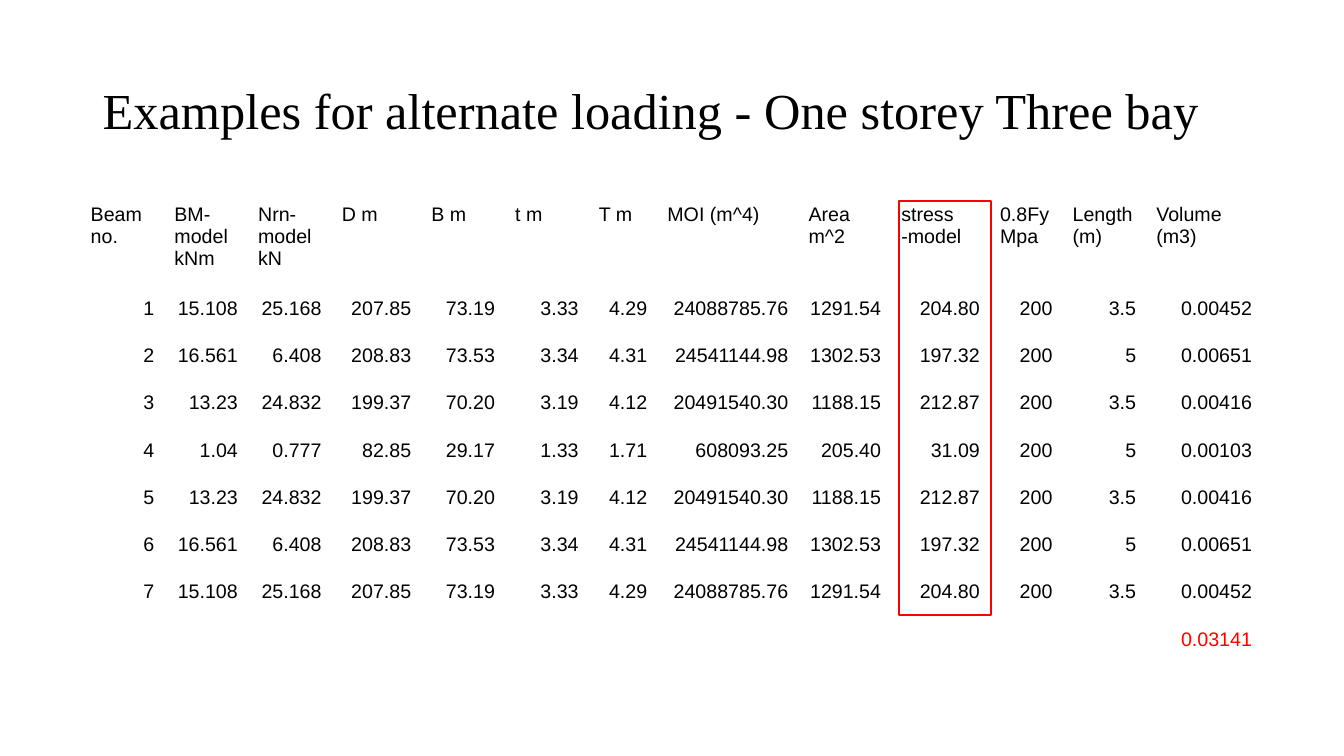
from pptx import Presentation
from pptx.dml.color import RGBColor
from pptx.enum.shapes import MSO_SHAPE
from pptx.enum.text import MSO_ANCHOR, PP_ALIGN
from pptx.oxml.ns import qn
from pptx.util import Inches, Pt

COLORS = {"text": "000000", "highlight": "FF0000"}
NO_STYLE_NO_GRID = "{2D5ABB26-0587-4C30-8999-92F81FD0307C}"

TITLE = "Examples for alternate loading - One storey Three bay"
COLUMNS = [
    ("Beam no.", 0.83), ("BM-model kNm", 0.83), ("Nrn-model kN", 0.83),
    ("D m", 0.89), ("B m", 0.83), ("t m", 0.83), ("T m", 0.68),
    ("MOI (m^4)", 1.4), ("Area m^2", 0.92), ("stress -model", 0.98),
    ("0.8Fy Mpa", 0.72), ("Length (m)", 0.83), ("Volume (m3)", 1.15),
]
# The frame is symmetric: beams 5 to 7 mirror beams 3 to 1.
OUTER_BEAMS = [
    "15.108 25.168 207.85 73.19 3.33 4.29 24088785.76 1291.54 204.80 200 3.5 0.00452",
    "16.561 6.408 208.83 73.53 3.34 4.31 24541144.98 1302.53 197.32 200 5 0.00651",
    "13.23 24.832 199.37 70.20 3.19 4.12 20491540.30 1188.15 212.87 200 3.5 0.00416",
]
MIDDLE_BEAM = "1.04 0.777 82.85 29.17 1.33 1.71 608093.25 205.40 31.09 200 5 0.00103"
BEAMS = OUTER_BEAMS + [MIDDLE_BEAM] + OUTER_BEAMS[::-1]
TOTAL_VOLUME = "0.03141"
# Minimum heights: each row grows to fit its text.
HEADER_HEIGHT, ROW_HEIGHT = 0.62, 0.21


def color(name):
    return RGBColor.from_string(COLORS[name])


def write(frame, text, size, font, ink="text", **paragraph_format):
    paragraph = frame.paragraphs[0]
    for name, value in paragraph_format.items():
        setattr(paragraph, name, value)
    run = paragraph.add_run()
    run.text = text
    run.font.size = Pt(size)
    run.font.name = font
    run.font.color.rgb = color(ink)


def add_title(slide):
    frame = slide.shapes.add_textbox(
        Inches(0.92), Inches(0.4), Inches(11.5), Inches(1.45)).text_frame
    frame.word_wrap = True
    frame.vertical_anchor = MSO_ANCHOR.MIDDLE
    write(frame, TITLE, 36, "Times New Roman", line_spacing=0.9)


def add_stress_outline(slide):
    outline = slide.shapes.add_shape(
        MSO_SHAPE.RECTANGLE, Inches(8.92), Inches(1.99), Inches(0.91), Inches(4.11))
    outline.shadow.inherit = False
    outline.fill.background()
    outline.line.color.rgb = color("highlight")
    outline.line.width = Pt(1.5)


def fill_cell(cell, text, ink="text", **paragraph_format):
    for side in ("left", "top", "right", "bottom"):
        setattr(cell, f"margin_{side}", Inches(0.1))
    write(cell.text_frame, text, 14, "Arial", ink, **paragraph_format)


def add_beam_table(slide):
    row_count = len(BEAMS) + 2
    width = sum(column_width for _, column_width in COLUMNS)
    height = HEADER_HEIGHT + ROW_HEIGHT * (row_count - 1)
    table = slide.shapes.add_table(
        row_count, len(COLUMNS), Inches(0.8), Inches(1.92),
        Inches(width), Inches(height)).table
    table.first_row = table.horz_banding = False
    table._tbl.tblPr.find(qn("a:tableStyleId")).text = NO_STYLE_NO_GRID

    for cell in table.iter_cells():
        cell.fill.background()
    for index, row in enumerate(table.rows):
        row.height = Inches(ROW_HEIGHT if index else HEADER_HEIGHT)
    for index, (heading, column_width) in enumerate(COLUMNS):
        table.columns[index].width = Inches(column_width)
        fill_cell(table.cell(0, index), heading)

    number_format = {"alignment": PP_ALIGN.RIGHT, "line_spacing": 1.15}
    for number, values in enumerate(BEAMS, start=1):
        for index, value in enumerate([str(number), *values.split()]):
            fill_cell(table.cell(number, index), value, **number_format)
    fill_cell(table.cell(row_count - 1, len(COLUMNS) - 1), TOTAL_VOLUME,
              "highlight", **number_format)


def main():
    deck = Presentation()
    deck.slide_width, deck.slide_height = Inches(13.33), Inches(7.5)
    slide = deck.slides.add_slide(deck.slide_layouts[6])
    add_title(slide)
    add_stress_outline(slide)
    add_beam_table(slide)
    deck.save("out.pptx")


if __name__ == "__main__":
    main()
